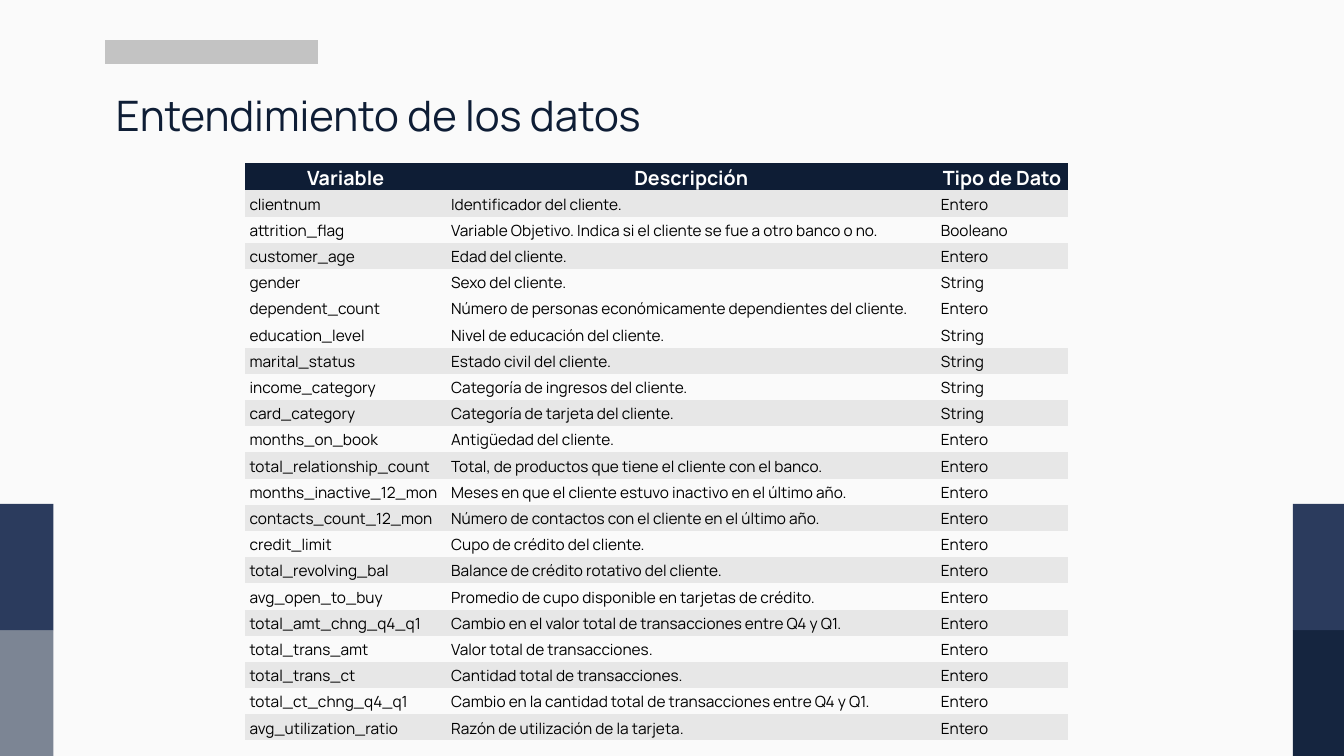
from pptx import Presentation
from pptx.dml.color import RGBColor
from pptx.enum import shapes, text
from pptx.oxml.ns import qn
from pptx.util import Cm, Pt

FONT = "Manrope"
NAVY, BLUE, BAND = "0E1D35", "2B3B5D", "E7E7E7"
NO_STYLE = "{2D5ABB26-0587-4C30-8999-92F81FD0307C}"

HEADINGS = ("Variable", "Descripción", "Tipo de Dato")
VARIABLES = [
    ("clientnum", "Identificador del cliente.", "Entero"),
    ("attrition_flag", "Variable Objetivo. Indica si el cliente se fue a otro banco o no.", "Booleano"),
    ("customer_age", "Edad del cliente.", "Entero"),
    ("gender", "Sexo del cliente.", "String"),
    ("dependent_count", "Número de personas económicamente dependientes del cliente.", "Entero"),
    ("education_level", "Nivel de educación del cliente.", "String"),
    ("marital_status", "Estado civil del cliente.", "String"),
    ("income_category", "Categoría de ingresos del cliente.", "String"),
    ("card_category", "Categoría de tarjeta del cliente.", "String"),
    ("months_on_book", "Antigüedad del cliente.", "Entero"),
    ("total_relationship_count", "Total, de productos que tiene el cliente con el banco.", "Entero"),
    ("months_inactive_12_mon", "Meses en que el cliente estuvo inactivo en el último año.", "Entero"),
    ("contacts_count_12_mon", "Número de contactos con el cliente en el último año.", "Entero"),
    ("credit_limit", "Cupo de crédito del cliente.", "Entero"),
    ("total_revolving_bal", "Balance de crédito rotativo del cliente.", "Entero"),
    ("avg_open_to_buy", "Promedio de cupo disponible en tarjetas de crédito.", "Entero"),
    ("total_amt_chng_q4_q1", "Cambio en el valor total de transacciones entre Q4 y Q1.", "Entero"),
    ("total_trans_amt", "Valor total de transacciones.", "Entero"),
    ("total_trans_ct", "Cantidad total de transacciones.", "Entero"),
    ("total_ct_chng_q4_q1", "Cambio en la cantidad total de transacciones entre Q4 y Q1.", "Entero"),
    ("avg_utilization_ratio", "Razón de utilización de la tarjeta.", "Entero"),
]
PLAIN_ROW = 5  # odd row left without a band
FIRST_LEFT_ROW = 16  # rows above are justified


def paint(fill, color):
    fill.solid()
    fill.fore_color.rgb = RGBColor.from_string(color)


def style_font(font, size, color, bold=False):
    font.name, font.size, font.bold = FONT, Pt(size), bold
    font.color.rgb = RGBColor.from_string(color)


def add_block(s, left, top, width, height, color):
    sp = s.shapes.add_shape(shapes.MSO_SHAPE.RECTANGLE, Cm(left), Cm(top), Cm(width), Cm(height))
    sp.shadow.inherit = False
    paint(sp.fill, color)
    sp.line.fill.background()


def add_title(s, title):
    tf = s.shapes.add_textbox(Cm(2.67), Cm(2.01), Cm(28.52), Cm(2.13)).text_frame
    tf.word_wrap = True
    tf.margin_left = tf.margin_right = tf.margin_top = tf.margin_bottom = Cm(0.25)
    tf.text = title
    style_font(tf.paragraphs[0].runs[0].font, 30, NAVY)


def fill_cell(cell, value, align, size, color, bold, background):
    cell.margin_left = cell.margin_right = Cm(0.12)
    cell.margin_top = cell.margin_bottom = 0
    cell.vertical_anchor = text.MSO_ANCHOR.MIDDLE
    if background:
        paint(cell.fill, background)
    else:
        cell.fill.background()
    p = cell.text_frame.paragraphs[0]
    p.text = value
    p.alignment, p.line_spacing, p.space_after = align, 1.07, Pt(8)
    style_font(p.runs[0].font, size, color, bold)


def add_variable_table(s):
    rows = [HEADINGS] + VARIABLES
    tbl = s.shapes.add_table(len(rows), len(HEADINGS), Cm(6.17), Cm(4.11), Cm(20.75), Cm(14.55)).table
    tbl.first_row = tbl.horz_banding = False
    tbl._tbl.tblPr.find(qn("a:tableStyleId")).text = NO_STYLE
    for column, width in zip(tbl.columns, (5.08, 12.34, 3.33)):
        column.width = Cm(width)
    for i, values in enumerate(rows):
        tbl.rows[i].height = Cm(0.66 if i else 0.69)
        if i == 0:
            look = (text.PP_ALIGN.CENTER, 14, "FFFFFF", True, NAVY)
        else:
            align = text.PP_ALIGN.JUSTIFY if i < FIRST_LEFT_ROW else text.PP_ALIGN.LEFT
            look = (align, 11, "000000", False, BAND if i % 2 and i != PLAIN_ROW else None)
        for j, value in enumerate(values):
            fill_cell(tbl.cell(i, j), value, *look)


def main():
    prs = Presentation()
    prs.slide_width, prs.slide_height = Cm(33.87), Cm(19.05)
    s = prs.slides.add_slide(prs.slide_layouts[6])
    paint(s.background.fill, "FAFAFA")
    for left, lower_color in ((32.58, "15253F"), (0, "7C8594")):
        add_block(s, left, 15.88, 1.35, 3.17, lower_color)
        add_block(s, left, 12.7, 1.35, 3.18, BLUE)
    add_block(s, 2.65, 1.01, 5.36, 0.6, "C3C3C3")
    add_title(s, "Entendimiento de los datos")
    add_variable_table(s)
    prs.save("out.pptx")


if __name__ == "__main__":
    main()
